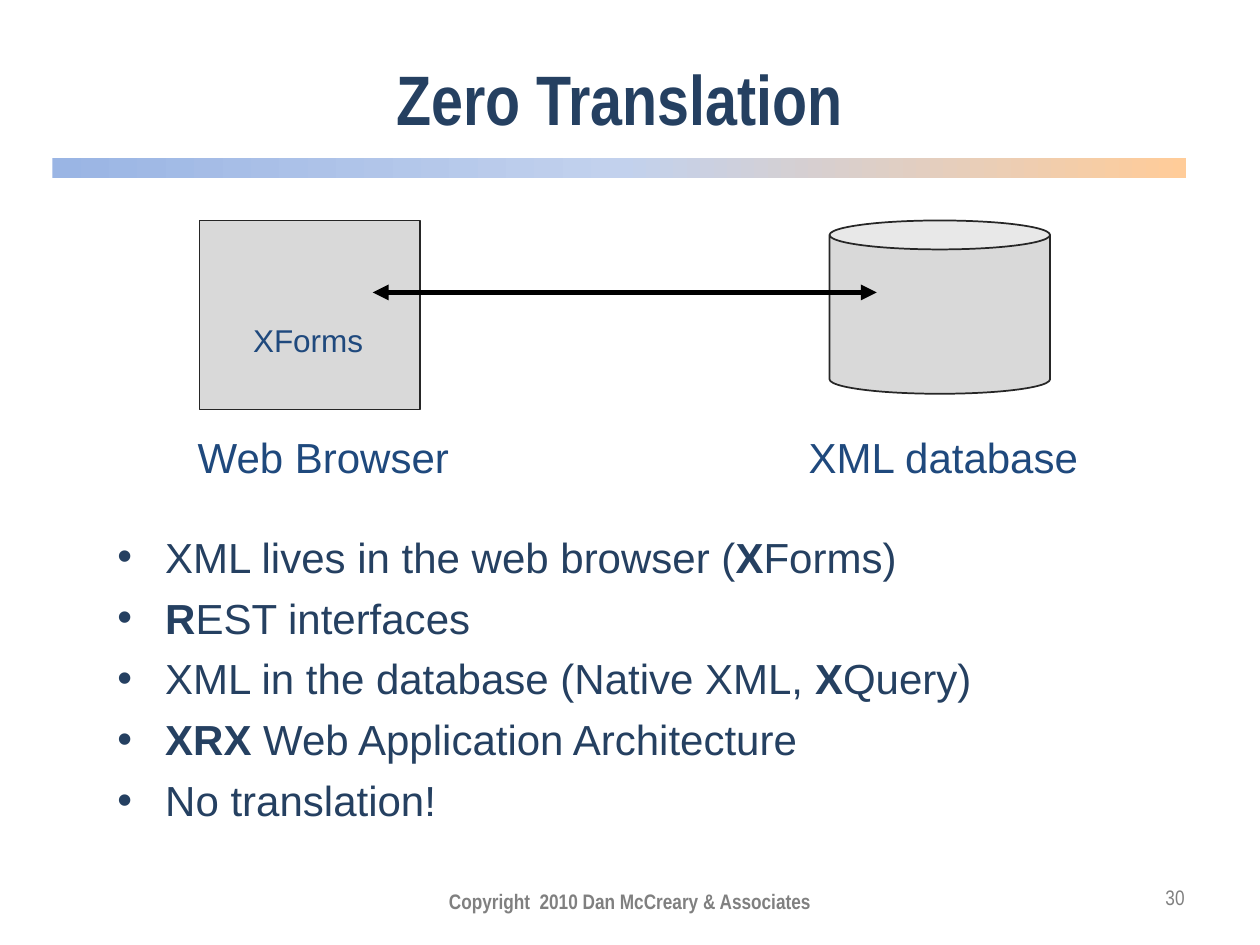
"""Build the Zero Translation slide on a grid of 120 columns by 90 rows."""
from copy import deepcopy

from lxml import etree
from pptx import Presentation
from pptx import util as u
from pptx.dml.color import RGBColor
from pptx.enum import shapes, text
from pptx.oxml import ns

COLORS = {"navy": "254061", "blue": "1F497D", "gray": "808080", "panel": "D9D9D9",
          "outline": "262626", "black": "000000"}
BAR_STOPS = [(0, "9AB5E4"), (0.5, "C2D1ED"), (1, "FFCC99")]

deck = Presentation()
deck.slide_width, deck.slide_height = u.Inches(10), u.Inches(7.5)
page = deck.slides.add_slide(deck.slide_layouts[6])


def grid(left, top, width, height):
    column, row = deck.slide_width / 120, deck.slide_height / 90
    return [round(n * unit) for n, unit in zip((left, top, width, height), (column, row) * 2)]


def add_text(area, lines, size, color, face="Arial", align="CENTER", anchor="TOP",
             bold=False, wrap=True, bullet=False):
    box = page.shapes.add_textbox(*grid(*area))
    frame = box.text_frame
    settings = {"word_wrap": wrap, "vertical_anchor": text.MSO_ANCHOR[anchor]}
    for name, value in settings.items():
        setattr(frame, name, value)
    for index, line in enumerate(lines):
        para = frame.paragraphs[0] if index == 0 else frame.add_paragraph()
        para.alignment = text.PP_ALIGN[align]
        if bullet:
            props = para._p.get_or_add_pPr()
            props.set("marL", str(u.Inches(0.38)))
            props.set("indent", str(-u.Inches(0.38)))
            if index:
                para.space_before = u.Pt(6)
            etree.SubElement(props, ns.qn("a:buFont"), typeface="Arial")
            etree.SubElement(props, ns.qn("a:buChar"), char="•")
        for part, words in enumerate(line.split("*")):
            if words:
                span = para.add_run()
                span.text = words
                formats = {"name": face, "size": u.Pt(size), "bold": bold or part % 2 == 1}
                for name, value in formats.items():
                    setattr(span.font, name, value)
                span.font.color.rgb = RGBColor.from_string(COLORS[color])
    return box


bar = page.shapes.add_shape(shapes.MSO_SHAPE.RECTANGLE, *grid(5, 15, 108, 2))
bar.shadow.inherit = False
bar.line.fill.background()
bar.fill.gradient()
bar.fill.gradient_angle = 0
first_stop = bar.fill.gradient_stops[0]._gs
first_stop.addnext(deepcopy(first_stop))
for stop, (position, color) in zip(bar.fill.gradient_stops, BAR_STOPS):
    stop.position = position
    stop.color.rgb = RGBColor.from_string(color)

add_text((8, 4, 102, 10.5), ["Zero Translation"], 40, "navy", "Arial Narrow",
         anchor="MIDDLE", bold=True)
bullets = add_text((10, 49.5, 102, 31.5), [
    "XML lives in the web browser (*X*Forms)",
    "*R*EST interfaces",
    "XML in the database (Native XML, *X*Query)",
    "*XRX* Web Application Architecture",
    "No translation!",
], 24, "navy", align="LEFT", bullet=True)
bullets.text_frame.margin_top = u.Inches(0.09)
add_text((107, 83, 7, 4.8), ["30"], 12, "gray", "Arial Narrow", "RIGHT", "MIDDLE")
add_text((41, 83.4, 38, 4.8), ["Copyright  2010 Dan McCreary & Associates"], 12, "gray",
         "Arial Narrow", anchor="MIDDLE", bold=True)

for kind, left, height in [("RECTANGLE", 19, 18), ("CAN", 79, 16.5)]:
    node = page.shapes.add_shape(shapes.MSO_SHAPE[kind], *grid(left, 21, 21, height))
    node.shadow.inherit = False
    node.fill.solid()
    node.fill.fore_color.rgb = RGBColor.from_string(COLORS["panel"])
    node.line.color.rgb = RGBColor.from_string(COLORS["outline"])
    node.line.width = u.Pt(1)
    if kind == "CAN":
        node.adjustments[0] = 0.167

arrow = page.shapes.add_connector(shapes.MSO_CONNECTOR.STRAIGHT, *grid(35.5, 27.85, 83.5, 27.85))
arrow.line.color.rgb = RGBColor.from_string(COLORS["black"])
arrow.line.width = u.Pt(3)
for end in ("headEnd", "tailEnd"):
    etree.SubElement(arrow.line._get_or_add_ln(), ns.qn(f"a:{end}"), type="triangle")
etree.SubElement(arrow._element.spPr, ns.qn("a:effectLst"))

for label, area, size in [
    ("Web Browser", (17.5, 40.5, 26.6, 6), 24),
    ("XML database", (75.7, 40.5, 28.3, 6), 24),
    ("XForms", (22.8, 30, 13.1, 4.8), 18),
]:
    caption = add_text(area, [label], size, "blue", wrap=False)
    caption.text_frame.auto_size = text.MSO_AUTO_SIZE.SHAPE_TO_FIT_TEXT

deck.save("out.pptx")
